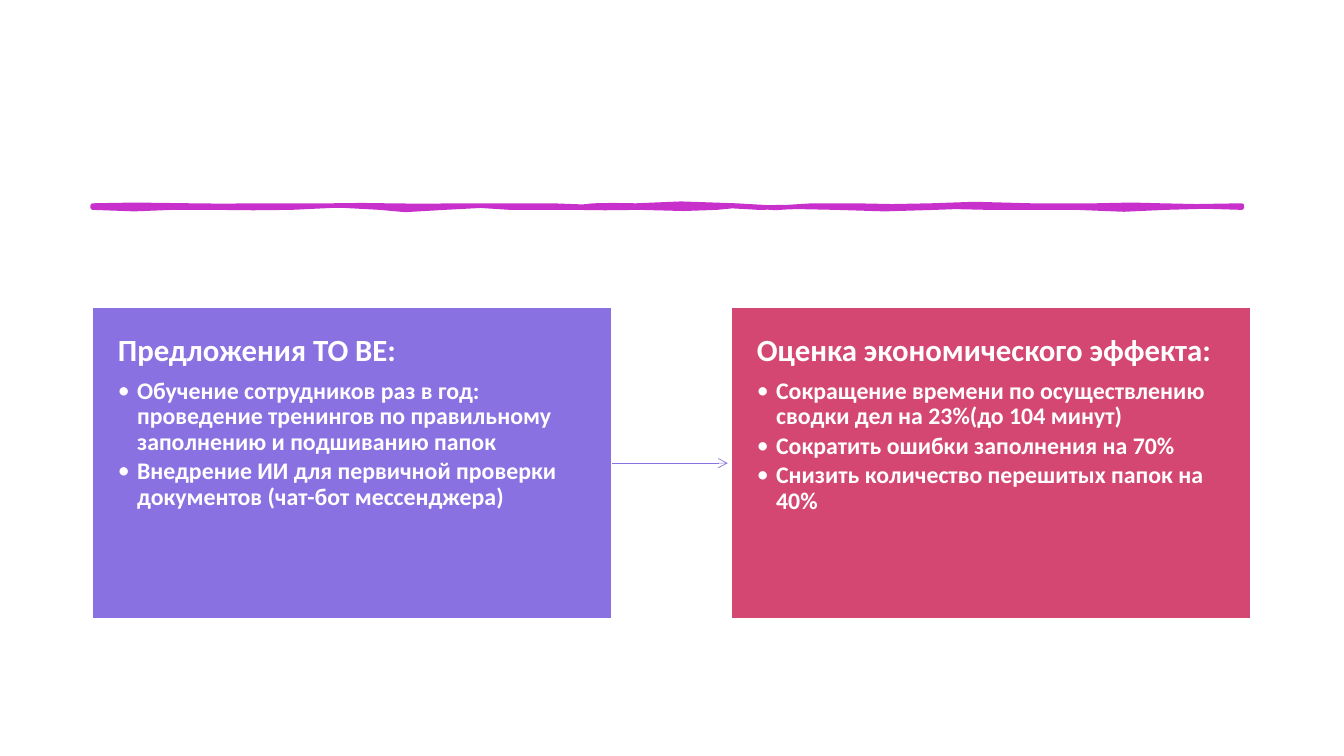
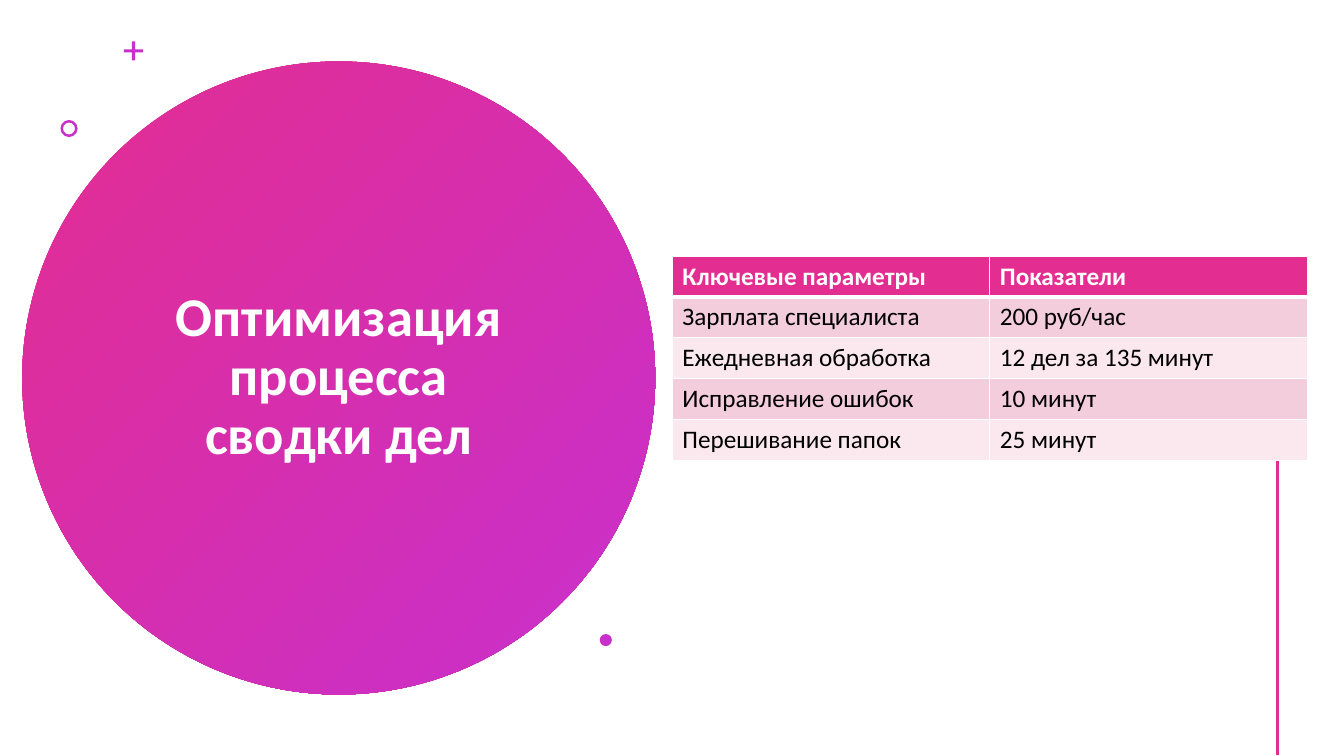
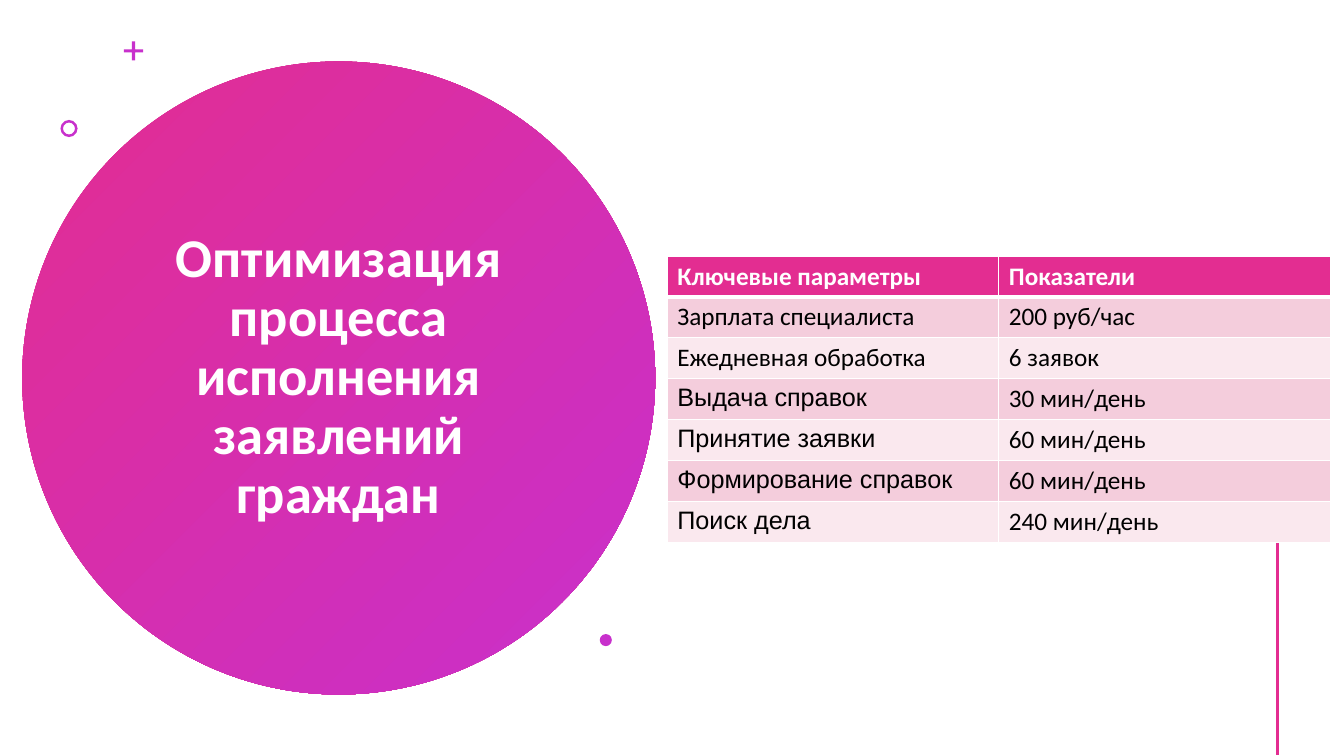
from dataclasses import dataclass

from lxml import etree
from pptx import Presentation
from pptx.dml.color import RGBColor
from pptx.enum.shapes import MSO_CONNECTOR, MSO_SHAPE
from pptx.enum.text import MSO_ANCHOR, PP_ALIGN
from pptx.oxml.ns import qn
from pptx.util import Inches, Pt

RECTANGLE, OVAL = MSO_SHAPE.RECTANGLE, MSO_SHAPE.OVAL
CROSS, DONUT = MSO_SHAPE.CROSS, MSO_SHAPE.DONUT
STRAIGHT = MSO_CONNECTOR.STRAIGHT
TOP, MIDDLE = MSO_ANCHOR.TOP, MSO_ANCHOR.MIDDLE
LEFT, CENTER = PP_ALIGN.LEFT, PP_ALIGN.CENTER

WHITE = RGBColor(0xFF, 0xFF, 0xFF)
BLACK = RGBColor(0x00, 0x00, 0x00)
PINK = RGBColor(0xE3, 0x2D, 0x91)
MAGENTA = RGBColor(0xC8, 0x30, 0xCC)
VIOLET = RGBColor(0x89, 0x71, 0xE1)
CRIMSON = RGBColor(0xD5, 0x47, 0x73)
BAND_DARK = RGBColor(0xF4, 0xCD, 0xDC)
BAND_LIGHT = RGBColor(0xFA, 0xE8, 0xEE)

TITLE_FONT = {"name": "Calibri", "size": Pt(39), "bold": True}
CARD_HEADING_FONT = {"name": "Calibri", "size": Pt(22), "bold": True}
CARD_BULLET_FONT = {"name": "Calibri", "size": Pt(17), "bold": True}
TABLE_HEADER_FONT = {"name": "Calibri", "size": Pt(18), "bold": True}
TABLE_BODY_FONT = {"name": "Calibri", "size": Pt(18), "bold": False}
TABLE_ARIAL_FONT = TABLE_BODY_FONT | {"name": "Arial"}

SLIDE_HEIGHT = 7.5
CARD_TOP, CARD_WIDTH, CARD_HEIGHT = 3.05, 5.15, 3.09
ARROW_LENGTH = 1.15
TABLE_TOP, ROW_HEIGHT = 2.54, 0.4
TABLE_HEADER = ("Ключевые параметры", "Показатели")

RULE_LEFT, RULE_TOP, RULE_BOTTOM = 0.92, 2.04, 2.06
CURVE_STEPS = 2
UPPER_EDGE = (
    (1.19, 2.04, 1.44, 2.02, 1.9), (2.37, 2.06, 2.2, 2.03, 2.44),
    (2.67, 2.05, 3.03, 2.03, 3.31), (3.6, 2.05, 3.59, 2.02, 3.84),
    (4.1, 2.06, 4.23, 2.03, 4.6), (4.98, 2.05, 5.14, 2.03, 5.48),
    (5.81, 2.05, 5.81, 2.06, 5.89), (5.98, 2.02, 6.15, 2.05, 6.31),
    (6.47, 2.03, 7.01, 2, 7.3), (7.59, 2.08, 7.81, 2.06, 8.06),
    (8.31, 2.02, 8.27, 2.06, 8.48), (8.68, 2.02, 9.01, 2.08, 9.24),
    (9.47, 2, 9.82, 2.04, 10.23), (10.63, 2.04, 10.63, 2.04, 10.87),
    (11.12, 2.04, 11.36, 2.02, 11.52), (11.68, 2.06, 12.03, 2.04, 12.32),
)
LOWER_EDGE = (
    (12.05, 2.06, 11.89, 2.03, 11.56),
    (11.22, 2.09, 11.1, 2.08, 10.68), (10.27, 2.04, 10.23, 2.08, 9.81),
    (9.39, 2.04, 9.52, 2.06, 9.28), (9.04, 2.06, 8.51, 2.1, 8.29),
    (8.06, 2.02, 7.82, 2.08, 7.53), (7.24, 2.04, 7.25, 2.04, 7.11),
    (6.98, 2.08, 6.61, 2.07, 6.35), (6.09, 2.05, 5.9, 2.08, 5.7),
    (5.51, 2.04, 5.28, 2.08, 5.06), (4.83, 2.04, 4.73, 2.03, 4.41),
    (4.09, 2.09, 3.9, 2.09, 3.77), (3.63, 2.03, 3.1, 2.03, 2.89),
    (2.68, 2.09, 2.35, 2.04, 2.13), (1.92, 2.08, 1.89, 2.04, 1.71),
    (1.54, 2.08, 1.14, 2.08, 0.92),
)


@dataclass(frozen=True)
class Card:
    left: float
    color: RGBColor
    heading: str
    bullets: tuple[str, ...]


@dataclass(frozen=True)
class Ornament:
    kind: MSO_SHAPE
    left: float
    top: float
    size: float
    adjustment: float | None = None


@dataclass(frozen=True)
class ProcessSlide:
    title: str
    table_left: float
    column_width: float
    rows: tuple[tuple[str, str], ...]
    arial_labels: tuple[str, ...] = ()


CARDS = (
    Card(0.92, VIOLET, "Предложения TO BE:", (
        "Обучение сотрудников раз в год: проведение тренингов по правильному "
        "заполнению и подшиванию папок",
        "Внедрение ИИ для первичной проверки документов (чат-бот мессенджера)",
    )),
    Card(7.26, CRIMSON, "Оценка экономического эффекта:", (
        "Сокращение времени по осуществлению сводки дел на 23%(до 104 минут)",
        "Сократить ошибки заполнения на 70%",
        "Снизить количество перешитых папок на 40%",
    )),
)

ORNAMENTS = (
    Ornament(CROSS, 1.23, 0.41, 0.19, 0.42),
    Ornament(DONUT, 0.6, 1.19, 0.17, 0.15),
    Ornament(OVAL, 5.95, 6.29, 0.12),
)

PROCESS_SLIDES = (
    ProcessSlide("Оптимизация процесса сводки дел", 6.67, 3.15, (
        ("Зарплата специалиста", "200 руб/час"),
        ("Ежедневная обработка", "12 дел за 135 минут"),
        ("Исправление ошибок", "10 минут"),
        ("Перешивание папок", "25 минут"),
    )),
    ProcessSlide("Оптимизация процесса исполнения заявлений граждан", 6.62, 3.29, (
        ("Зарплата специалиста", "200 руб/час"),
        ("Ежедневная обработка", "6 заявок"),
        ("Выдача справок", "30 мин/день"),
        ("Принятие заявки", "60 мин/день"),
        ("Формирование справок", "60 мин/день"),
        ("Поиск дела", "240 мин/день"),
    ), ("Выдача справок", "Принятие заявки", "Формирование справок", "Поиск дела")),
)


def apply_format(target, values: dict) -> None:
    for name, value in values.items():
        setattr(target, name, value)


def write_paragraph(paragraph, text: str, font: dict, color: RGBColor, layout: dict) -> None:
    paragraph.text = text
    apply_format(paragraph, layout)
    for target in (paragraph.font, *(run.font for run in paragraph.runs)):
        apply_format(target, font)
        target.color.rgb = color


def add_bullet(paragraph) -> None:
    properties = paragraph._p.get_or_add_pPr()
    properties.set("marL", str(Inches(0.19)))
    properties.set("indent", str(Inches(-0.19)))
    etree.SubElement(properties, qn("a:buFont")).set("typeface", "Calibri")
    etree.SubElement(properties, qn("a:buChar")).set("char", "•")


def add_plain_shape(slide, kind: MSO_SHAPE, left: float, top: float, width: float, height: float):
    shape = slide.shapes.add_shape(kind, Inches(left), Inches(top), Inches(width), Inches(height))
    shape.shadow.inherit = False
    shape.line.fill.background()
    return shape


def set_text_area(shape, horizontal: float, vertical: float, anchor: MSO_ANCHOR) -> None:
    apply_format(shape.text_frame, {
        "margin_left": Inches(horizontal), "margin_right": Inches(horizontal),
        "margin_top": Inches(vertical), "margin_bottom": Inches(vertical),
        "vertical_anchor": anchor, "word_wrap": True,
    })


def add_line(slide, left: float, top: float, right: float, bottom: float,
             color: RGBColor, width: float):
    connector = slide.shapes.add_connector(
        STRAIGHT, Inches(left), Inches(top), Inches(right), Inches(bottom))
    connector.line.color.rgb = color
    connector.line.width = Pt(width)
    etree.SubElement(connector.element.spPr, qn("a:effectLst"))
    return connector


def trace_edge(start_x: float, curves: tuple, edge_y: float) -> list[tuple[int, int]]:
    points = []
    for first_x, first_y, second_x, second_y, end_x in curves:
        controls = ((start_x, edge_y), (first_x, first_y), (second_x, second_y), (end_x, edge_y))
        for step in range(1, CURVE_STEPS + 1):
            t = step / CURVE_STEPS
            weights = ((1 - t) ** 3, 3 * t * (1 - t) ** 2, 3 * t * t * (1 - t), t ** 3)
            points.append(tuple(
                Inches(sum(weight * control[axis] for weight, control in zip(weights, controls)))
                for axis in (0, 1)))
        start_x = end_x
    return points


def add_brush_rule(slide) -> None:
    right = UPPER_EDGE[-1][-1]
    upper = trace_edge(RULE_LEFT, UPPER_EDGE, RULE_TOP)
    lower = trace_edge(right, LOWER_EDGE, RULE_BOTTOM)
    corner = (Inches(right), Inches(RULE_BOTTOM))
    builder = slide.shapes.build_freeform(Inches(RULE_LEFT), Inches(RULE_TOP))
    builder.add_line_segments([*upper, corner, *lower], close=True)
    rule = builder.convert_to_shape()
    rule.shadow.inherit = False
    rule.fill.solid()
    rule.fill.fore_color.rgb = MAGENTA
    rule.line.color.rgb = MAGENTA
    rule.line.width = Pt(3.25)
    etree.SubElement(rule.element.spPr.find(qn("a:ln")), qn("a:round"))


def add_card(slide, card: Card):
    shape = add_plain_shape(slide, RECTANGLE, card.left, CARD_TOP, CARD_WIDTH, CARD_HEIGHT)
    shape.fill.solid()
    shape.fill.fore_color.rgb = card.color
    shape.line.color.rgb = WHITE
    shape.line.width = Pt(1)
    set_text_area(shape, 0.25, 0.27, TOP)
    layout = {"alignment": LEFT, "line_spacing": 0.9}
    write_paragraph(shape.text_frame.paragraphs[0], card.heading, CARD_HEADING_FONT, WHITE,
                    layout | {"space_after": Pt(7.7)})
    for bullet in card.bullets:
        paragraph = shape.text_frame.add_paragraph()
        add_bullet(paragraph)
        write_paragraph(paragraph, bullet, CARD_BULLET_FONT, WHITE,
                        layout | {"space_after": Pt(2.5)})
    return shape


def add_title_circle(slide, title: str) -> None:
    circle = add_plain_shape(slide, OVAL, 0.22, 0.61, 6.28, 6.28)
    circle.fill.gradient()
    circle.fill.gradient_angle = 315
    for stop, position, color in zip(circle.fill.gradient_stops, (0, 1), (PINK, MAGENTA)):
        stop.position = position
        stop.color.rgb = color
    set_text_area(circle, 0.33, 0, MIDDLE)
    write_paragraph(circle.text_frame.paragraphs[0], title, TITLE_FONT, WHITE,
                    {"alignment": CENTER, "line_spacing": 0.9, "space_after": Pt(6)})


def add_ornament(slide, ornament: Ornament) -> None:
    shape = add_plain_shape(slide, ornament.kind, ornament.left, ornament.top,
                            ornament.size, ornament.size)
    shape.fill.solid()
    shape.fill.fore_color.rgb = MAGENTA
    if ornament.adjustment is not None:
        shape.adjustments[0] = ornament.adjustment


def set_cell_borders(cell, top: float, bottom: float) -> None:
    properties = cell._tc.get_or_add_tcPr()
    widths = {"a:lnL": 1, "a:lnR": 1, "a:lnT": top, "a:lnB": bottom}
    for tag, width in widths.items():
        border = etree.SubElement(properties, qn(tag), w=str(Pt(width)))
        fill = etree.SubElement(border, qn("a:solidFill"))
        etree.SubElement(fill, qn("a:srgbClr"), val=str(WHITE))


def add_parameter_table(slide, content: ProcessSlide) -> None:
    rows = (TABLE_HEADER, *content.rows)
    table = slide.shapes.add_table(
        len(rows), 2, Inches(content.table_left), Inches(TABLE_TOP),
        Inches(2 * content.column_width), Inches(ROW_HEIGHT * len(rows))).table
    table.horz_banding = False
    for row_index, row in enumerate(rows):
        header = row_index == 0
        band = BAND_DARK if row_index % 2 else BAND_LIGHT
        for column_index, text in enumerate(row):
            cell = table.cell(row_index, column_index)
            set_cell_borders(cell, 3 if row_index == 1 else 1, 3 if header else 1)
            cell.fill.solid()
            cell.fill.fore_color.rgb = PINK if header else band
            body_font = TABLE_ARIAL_FONT if text in content.arial_labels else TABLE_BODY_FONT
            write_paragraph(cell.text_frame.paragraphs[0], text,
                            TABLE_HEADER_FONT if header else body_font,
                            WHITE if header else BLACK, {"alignment": LEFT})


def build_effect_slide(slide) -> None:
    add_brush_rule(slide)
    proposals = [add_card(slide, card) for card in CARDS][0]
    start = CARDS[0].left + CARD_WIDTH
    middle = CARD_TOP + CARD_HEIGHT / 2
    arrow = add_line(slide, start, middle, start + ARROW_LENGTH, middle, VIOLET, 0.5)
    arrow.begin_connect(proposals, 3)
    etree.SubElement(arrow.element.spPr.find(qn("a:ln")), qn("a:tailEnd"), type="arrow")


def build_process_slide(slide, content: ProcessSlide) -> None:
    add_title_circle(slide, content.title)
    for ornament in ORNAMENTS:
        add_ornament(slide, ornament)
    add_line(slide, 12.67, 3.95, 12.67, 7.49, PINK, 2)
    add_parameter_table(slide, content)


def main() -> None:
    presentation = Presentation()
    presentation.slide_width = Inches(SLIDE_HEIGHT * 16 / 9)
    presentation.slide_height = Inches(SLIDE_HEIGHT)
    blank = presentation.slide_layouts[6]
    build_effect_slide(presentation.slides.add_slide(blank))
    for content in PROCESS_SLIDES:
        build_process_slide(presentation.slides.add_slide(blank), content)
    presentation.save("out.pptx")


if __name__ == "__main__":
    main()
